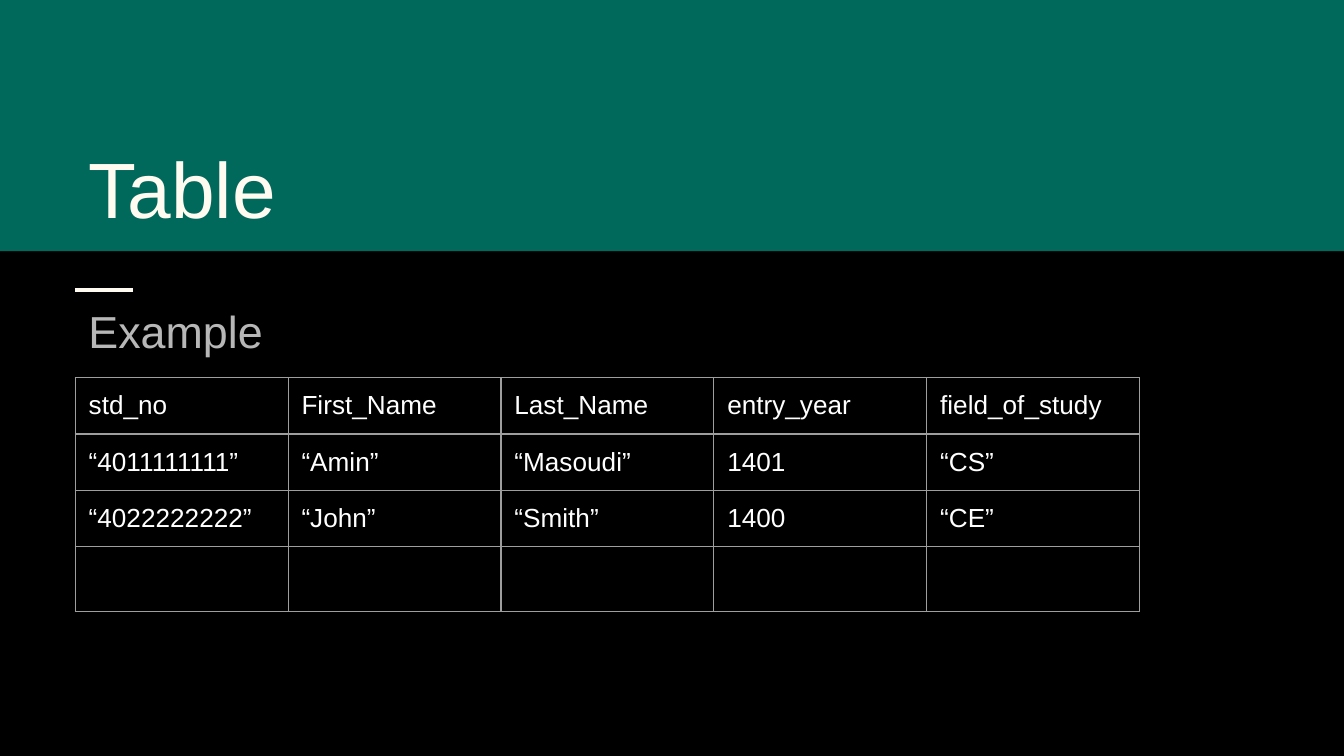
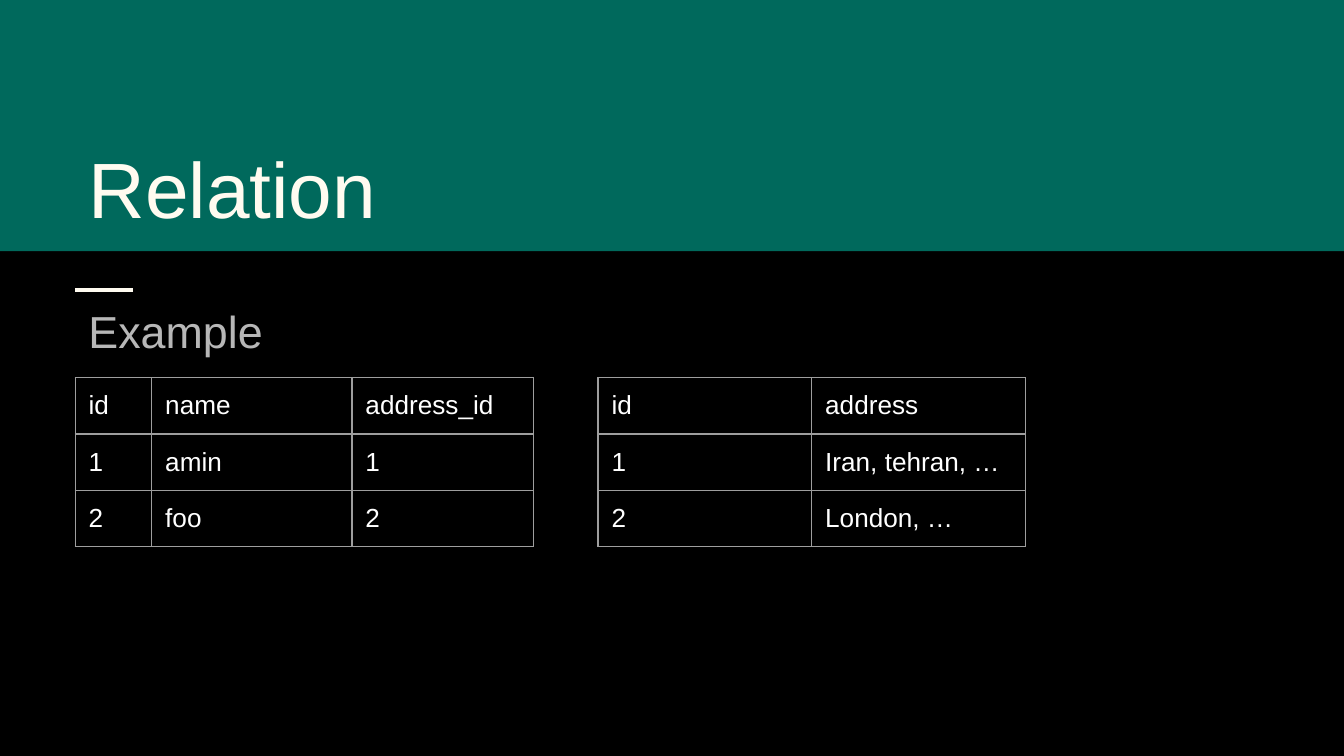
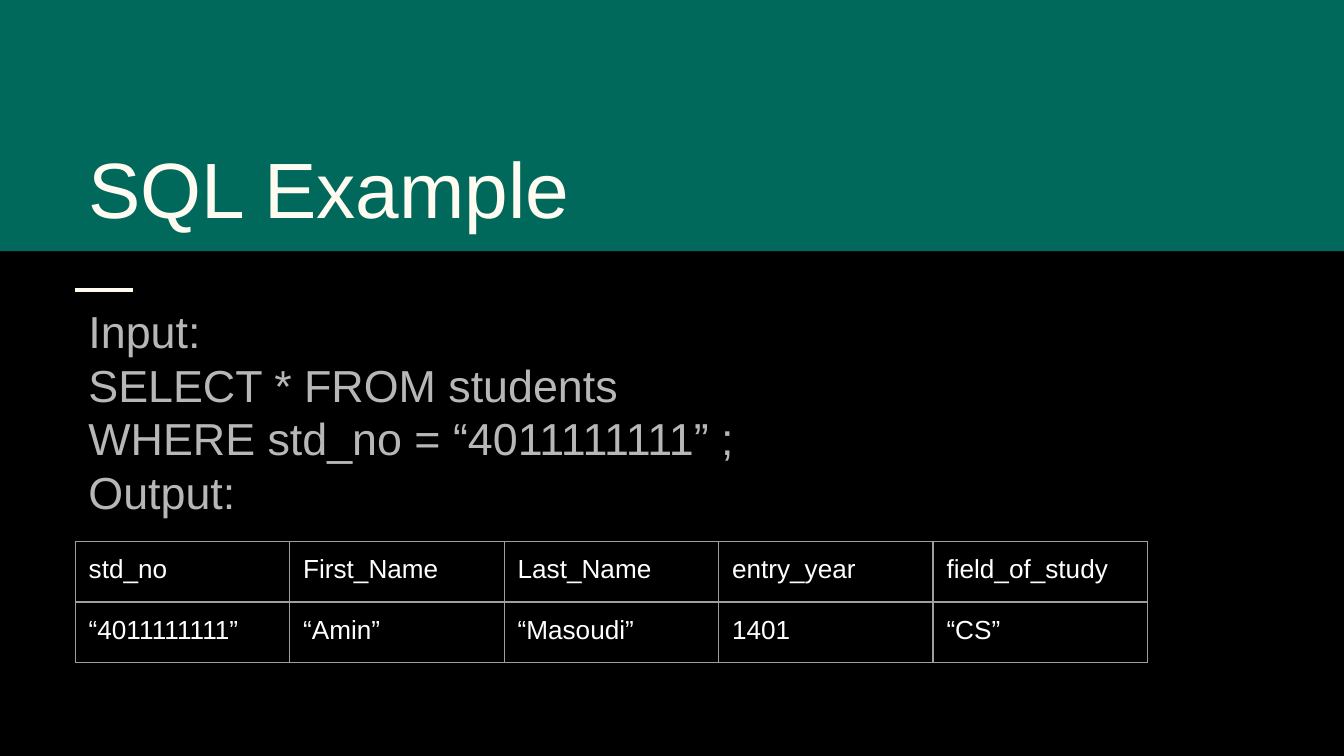
from lxml import etree
from pptx import Presentation
from pptx.dml.color import RGBColor
from pptx.enum.shapes import MSO_CONNECTOR, MSO_SHAPE
from pptx.enum.text import MSO_ANCHOR
from pptx.oxml.ns import qn
from pptx.util import Inches, Pt

RECTANGLE = MSO_SHAPE.RECTANGLE
STRAIGHT = MSO_CONNECTOR.STRAIGHT
TOP, BOTTOM = MSO_ANCHOR.TOP, MSO_ANCHOR.BOTTOM

BLACK = RGBColor(0x00, 0x00, 0x00)
TEAL = RGBColor(0x00, 0x69, 0x5C)
CREAM = RGBColor(0xFF, 0xFB, 0xF0)
GRAY = RGBColor(0xB7, 0xB7, 0xB7)
WHITE = RGBColor(0xFF, 0xFF, 0xFF)
BORDER = RGBColor(0x9E, 0x9E, 0x9E)

FONT = "Arial"
SLIDE_W = 10
SLIDE_H = SLIDE_W * 9 / 16
MARGIN = 0.56
INSET = Inches(0.1)
CELL_BOTTOM = Inches(0.08)
BAND_BOX = (0, 0, SLIDE_W, 1.87)
RULE_Y, RULE_W = 2.16, 0.43
TITLE_BOX = (MARGIN, 0.17, SLIDE_W - 2 * MARGIN, 1.67)
BODY_BOX = (MARGIN, RULE_Y, SLIDE_W - 2 * MARGIN, 2.94)
TABLE_Y = 2.81

STUDENT_HEADER = ("std_no", "First_Name", "Last_Name", "entry_year", "field_of_study")
AMIN = ("“4011111111”", "“Amin”", "“Masoudi”", "1401", "“CS”")
JOHN = ("“4022222222”", "“John”", "“Smith”", "1400", "“CE”")


def add_run(p, text, size, color):
    """Add one formatted run to a paragraph."""
    r = p.add_run()
    r.text = text
    r.font.name = FONT
    r.font.size = Pt(size)
    r.font.color.rgb = color


def add_text(slide, box, lines, size, color, anchor=TOP):
    """Add a text box with one paragraph per line."""
    tf = slide.shapes.add_textbox(*map(Inches, box)).text_frame
    tf.word_wrap = True
    tf.vertical_anchor = anchor
    tf.margin_left = tf.margin_right = tf.margin_top = tf.margin_bottom = INSET
    for i, line in enumerate(lines):
        p = tf.add_paragraph() if i else tf.paragraphs[0]
        add_run(p, line, size, color)


def add_borders(cell):
    """Draw a thin line on all four sides of a cell."""
    tc_pr = cell._tc.get_or_add_tcPr()
    for side in ("a:lnL", "a:lnR", "a:lnT", "a:lnB"):
        ln = etree.SubElement(tc_pr, qn(side), w=str(Pt(0.75)))
        fill = etree.SubElement(ln, qn("a:solidFill"))
        etree.SubElement(fill, qn("a:srgbClr"), val=str(BORDER))


def add_grid(slide, left, top, widths, row_h, rows):
    """Add an unfilled, bordered table."""
    frame = slide.shapes.add_table(
        len(rows), len(widths), Inches(left), Inches(top),
        Inches(sum(widths)), Inches(row_h * len(rows)))
    table = frame.table
    table.first_row = table.horz_banding = False
    for column, width in zip(table.columns, widths):
        column.width = Inches(width)
    for i, row in enumerate(rows):
        table.rows[i].height = Inches(row_h)
        for j, text in enumerate(row):
            cell = table.cell(i, j)
            add_borders(cell)
            cell.fill.background()
            cell.margin_left = cell.margin_right = cell.margin_top = INSET
            cell.margin_bottom = CELL_BOTTOM
            if text:
                add_run(cell.text_frame.paragraphs[0], text, 14, WHITE)


def add_frame(slide):
    """Add the background, title band and short rule."""
    slide.background.fill.solid()
    slide.background.fill.fore_color.rgb = BLACK
    band = slide.shapes.add_shape(RECTANGLE, *map(Inches, BAND_BOX))
    band.shadow.inherit = False
    band.fill.solid()
    band.fill.fore_color.rgb = TEAL
    band.line.fill.background()
    ends = (MARGIN, RULE_Y, MARGIN + RULE_W, RULE_Y)
    rule = slide.shapes.add_connector(STRAIGHT, *map(Inches, ends))
    rule.line.color.rgb = CREAM
    rule.line.width = Pt(2.25)
    etree.SubElement(rule._element.spPr, qn("a:effectLst"))


def add_content_slide(prs, title, lines):
    """Add a slide with the shared frame, a title and body lines."""
    slide = prs.slides.add_slide(prs.slide_layouts[6])
    add_frame(slide)
    add_text(slide, TITLE_BOX, [title], 42, CREAM, anchor=BOTTOM)
    add_text(slide, BODY_BOX, lines, 24, GRAY)
    return slide


def add_table_slide(prs):
    """Show the students table."""
    slide = add_content_slide(prs, "Table", ["Example"])
    rows = [STUDENT_HEADER, AMIN, JOHN, ("",) * len(STUDENT_HEADER)]
    add_grid(slide, MARGIN, TABLE_Y, [7.92 / 5] * 5, 0.42, rows)


def add_relation_slide(prs):
    """Show two tables related by address id."""
    slide = add_content_slide(prs, "Relation", ["Example"])
    people = [("id", "name", "address_id"), ("1", "amin", "1"), ("2", "foo", "2")]
    addresses = [("id", "address"), ("1", "Iran, tehran, …"), ("2", "London, …")]
    add_grid(slide, MARGIN, TABLE_Y, [0.57, 1.49, 1.35], 0.42, people)
    add_grid(slide, 4.45, TABLE_Y, [1.59] * 2, 0.42, addresses)


def add_sql_slide(prs):
    """Show a query and its result."""
    lines = ["Input:", "SELECT * FROM students",
             "WHERE std_no = “4011111111” ;", "Output:"]
    slide = add_content_slide(prs, "SQL Example", lines)
    add_grid(slide, MARGIN, 4.03, [7.98 / 5] * 5, 0.45, [STUDENT_HEADER, AMIN])


def main():
    """Build and save the presentation."""
    prs = Presentation()
    prs.slide_width, prs.slide_height = Inches(SLIDE_W), Inches(SLIDE_H)
    add_table_slide(prs)
    add_relation_slide(prs)
    add_sql_slide(prs)
    prs.save("out.pptx")


if __name__ == "__main__":
    main()
